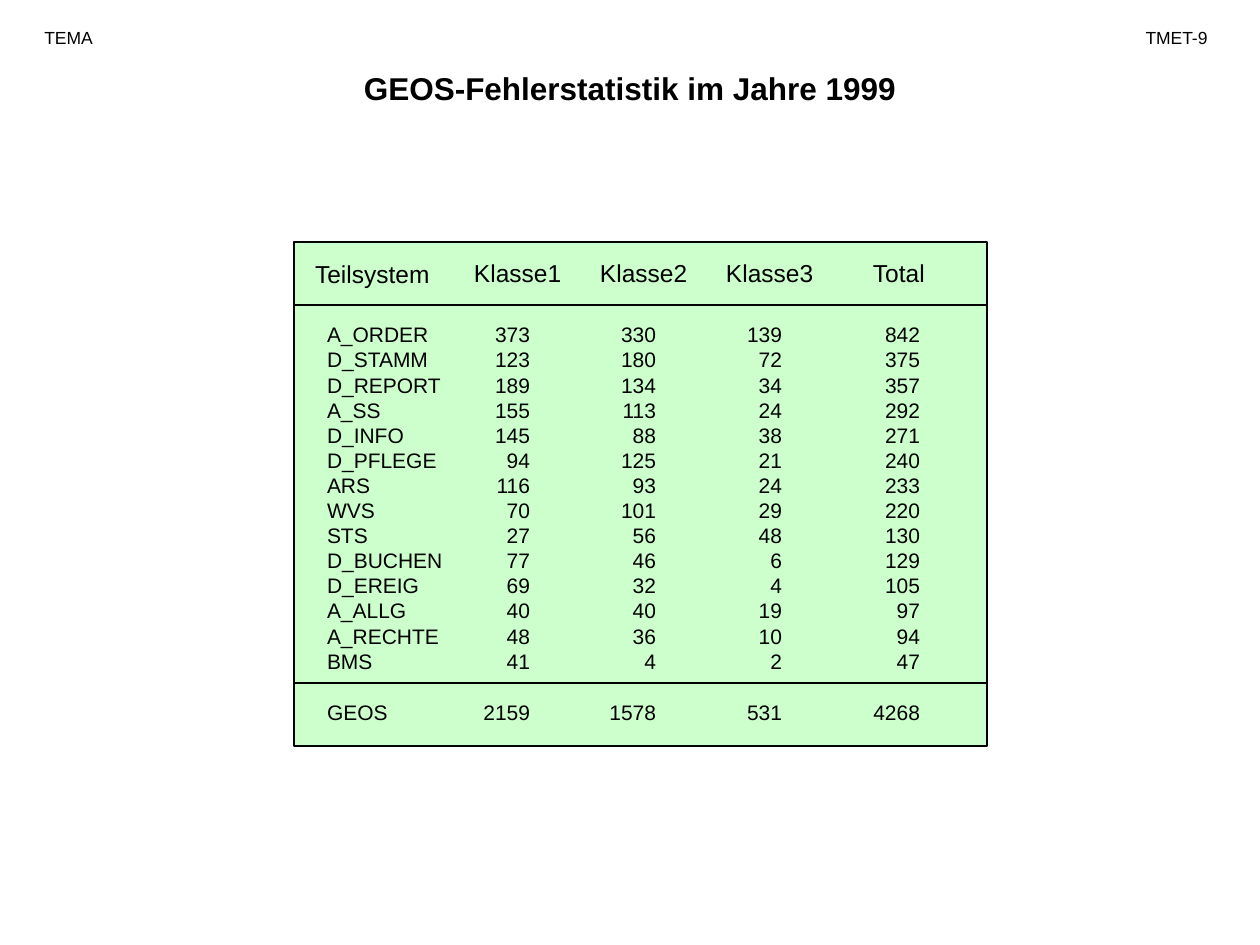
from lxml import etree
from pptx import Presentation
from pptx.dml.color import RGBColor
from pptx.enum.shapes import MSO_CONNECTOR, MSO_SHAPE
from pptx.enum.text import MSO_ANCHOR, MSO_AUTO_SIZE, PP_ALIGN
from pptx.oxml.ns import qn
from pptx.util import Emu, Pt

LEFT, CENTER, RIGHT = PP_ALIGN.LEFT, PP_ALIGN.CENTER, PP_ALIGN.RIGHT
TOP, MIDDLE = MSO_ANCHOR.TOP, MSO_ANCHOR.MIDDLE
NO_AUTOFIT = MSO_AUTO_SIZE.NONE
RECTANGLE, STRAIGHT = MSO_SHAPE.RECTANGLE, MSO_CONNECTOR.STRAIGHT

BLACK = RGBColor(0x00, 0x00, 0x00)
GREEN = RGBColor(0xCC, 0xFF, 0xCC)
FONT = "Arial"
LINE_WIDTH = Pt(0.75)
PX_PER_INCH = 126

# Table content
ROWS = [
    ("Teilsystem", "Klasse1", "Klasse2", "Klasse3", "Total"),
    ("A_ORDER", 373, 330, 139, 842),
    ("D_STAMM", 123, 180, 72, 375),
    ("D_REPORT", 189, 134, 34, 357),
    ("A_SS", 155, 113, 24, 292),
    ("D_INFO", 145, 88, 38, 271),
    ("D_PFLEGE", 94, 125, 21, 240),
    ("ARS", 116, 93, 24, 233),
    ("WVS", 70, 101, 29, 220),
    ("STS", 27, 56, 48, 130),
    ("D_BUCHEN", 77, 46, 6, 129),
    ("D_EREIG", 69, 32, 4, 105),
    ("A_ALLG", 40, 40, 19, 97),
    ("A_RECHTE", 48, 36, 10, 94),
    ("BMS", 41, 4, 2, 47),
    ("GEOS", 2159, 1578, 531, 4268),
]
TOTAL_ROW = len(ROWS) - 1
LAST_BODY_ROW = TOTAL_ROW - 1

# Table measures in px
COLUMN_WIDTHS = (172, 126, 126, 126, 143)
HEADER_INDENTS = (21, 8, 8, 8, 29)
NAME_INDENT = 33
NUMBER_INDENTS = (0, 62, 62, 62, 67)
TABLE_LEFT, TABLE_TOP, TABLE_WIDTH = 294, 242, sum(COLUMN_WIDTHS)
BAND_HEIGHT, BODY_HEIGHT = 63, 378
BODY_TOP_GAP, BODY_BOTTOM_GAP = 18, 8
TEILSYSTEM_DROP, TOTAL_LIFT = 4, 2


def px(length):
    return Emu(round(length * 914400 / PX_PER_INCH))


def format_text(paragraph, size, align, bold=False):
    paragraph.alignment = align
    for run in paragraph.runs:
        run.font.name = FONT
        run.font.size = Pt(size)
        run.font.bold = bold
        run.font.color.rgb = BLACK


def fill_frame(shape, text, size, align, bold=False):
    frame = shape.text_frame
    frame.text = text
    frame.word_wrap = True
    frame.auto_size = NO_AUTOFIT
    frame.vertical_anchor = TOP
    format_text(frame.paragraphs[0], size, align, bold)


def add_title(slide, text):
    title = slide.shapes.title
    title.left, title.top, title.width, title.height = map(px, (252, 63, 756, 50))
    fill_frame(title, text, 18, CENTER, bold=True)


def add_label(slide, text, left, width, align):
    label = slide.shapes.add_textbox(px(left), px(21), px(width), px(34))
    fill_frame(label, text, 10, align)


def add_panel(slide, top, height):
    panel = slide.shapes.add_shape(
        RECTANGLE, px(TABLE_LEFT), px(top), px(TABLE_WIDTH), px(height)
    )
    panel.shadow.inherit = False
    panel.fill.solid()
    panel.fill.fore_color.rgb = GREEN
    panel.line.color.rgb = BLACK
    panel.line.width = LINE_WIDTH


def add_rule(slide, top):
    rule = slide.shapes.add_connector(
        STRAIGHT, px(TABLE_LEFT), px(top), px(TABLE_LEFT + TABLE_WIDTH), px(top)
    )
    rule.line.color.rgb = BLACK
    rule.line.width = LINE_WIDTH
    etree.SubElement(rule._element.spPr, qn("a:effectLst"))


def clear_cell(cell):
    """Leave the cell without fill and borders, so the panels show."""
    cell.fill.background()
    properties = cell._tc.get_or_add_tcPr()
    for position, side in enumerate("LRTB"):
        border = etree.Element(qn(f"a:ln{side}"), w="0")
        etree.SubElement(border, qn("a:noFill"))
        properties.insert(position, border)


def vertical_margins(row, column):
    if (row, column) == (0, 0):
        return TEILSYSTEM_DROP, 0
    if row == 1:
        return BODY_TOP_GAP, 0
    return 0, {LAST_BODY_ROW: BODY_BOTTOM_GAP, TOTAL_ROW: TOTAL_LIFT}.get(row, 0)


def fill_cell(cell, value, row, column):
    is_header = row == 0
    is_name = column == 0
    cell.margin_left = cell.margin_right = 0
    cell.margin_top, cell.margin_bottom = map(px, vertical_margins(row, column))
    cell.vertical_anchor = MIDDLE

    if is_header:
        cell.margin_left = px(HEADER_INDENTS[column])
    elif is_name:
        cell.margin_left = px(NAME_INDENT)
    else:
        cell.margin_right = px(NUMBER_INDENTS[column])

    cell.text_frame.text = str(value)
    align = LEFT if is_header or is_name else RIGHT
    format_text(cell.text_frame.paragraphs[0], 14 if is_header else 12, align)
    clear_cell(cell)


def row_height(row):
    if row in (0, TOTAL_ROW):
        return px(BAND_HEIGHT)
    lines_height = px(BODY_HEIGHT - BODY_TOP_GAP - BODY_BOTTOM_GAP)
    height = lines_height // LAST_BODY_ROW
    if row == 1:
        height += px(BODY_TOP_GAP)
    if row == LAST_BODY_ROW:
        height += px(BODY_BOTTOM_GAP)
    return Emu(height)


def add_error_table(slide):
    table = slide.shapes.add_table(
        len(ROWS), len(COLUMN_WIDTHS), px(TABLE_LEFT), px(TABLE_TOP),
        px(TABLE_WIDTH), px(BODY_HEIGHT + 2 * BAND_HEIGHT),
    ).table
    table.horz_banding = False
    for column, width in enumerate(COLUMN_WIDTHS):
        table.columns[column].width = px(width)
    for row, values in enumerate(ROWS):
        table.rows[row].height = row_height(row)
        for column, value in enumerate(values):
            fill_cell(table.cell(row, column), value, row, column)


def main():
    presentation = Presentation()
    presentation.slide_width, presentation.slide_height = px(1260), px(945)
    slide = presentation.slides.add_slide(presentation.slide_layouts[5])

    # Page head
    add_title(slide, "GEOS-Fehlerstatistik im Jahre 1999")
    add_label(slide, "TEMA", 32, 116, LEFT)
    add_label(slide, "TMET-9", 1124, 105, CENTER)

    # Panels behind the table, with a rule above the total
    body_top = TABLE_TOP + BAND_HEIGHT
    add_panel(slide, body_top, BODY_HEIGHT + BAND_HEIGHT)
    add_panel(slide, TABLE_TOP, BAND_HEIGHT)
    add_rule(slide, body_top + BODY_HEIGHT)

    # Errors by subsystem and class
    add_error_table(slide)

    presentation.save("out.pptx")


if __name__ == "__main__":
    main()
